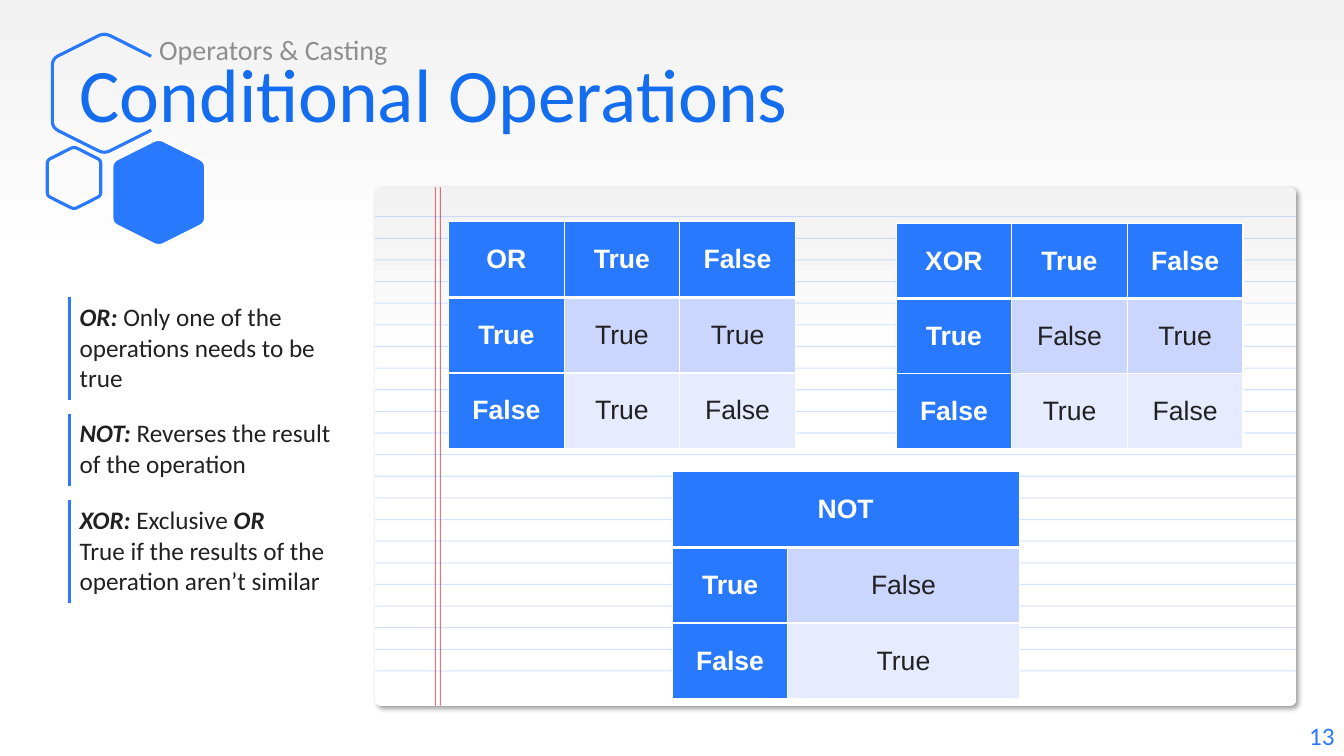
from lxml import etree
from pptx import Presentation
from pptx.dml.color import RGBColor
from pptx.enum import shapes, text
from pptx.oxml import ns
from pptx.util import Pt

BLUE = RGBColor(0x29, 0x79, 0xFF)
TITLE_BLUE = RGBColor(0x13, 0x6D, 0xEE)
RULE_BLUE = RGBColor(0x22, 0x74, 0xFE)
MARGIN_RED = RGBColor(0xCB, 0x19, 0x25)
GREY = RGBColor(0x8F, 0x8F, 0x8F)
INK = RGBColor(0x21, 0x21, 0x21)
WHITE = RGBColor(0xFF, 0xFF, 0xFF)
PALE = RGBColor(0xF2, 0xF2, 0xF2)
BANDS = [RGBColor(0xCB, 0xD6, 0xFF), RGBColor(0xE7, 0xEB, 0xFF)]

LEFT, CENTER, RIGHT = text.PP_ALIGN.LEFT, text.PP_ALIGN.CENTER, text.PP_ALIGN.RIGHT
TOP, MIDDLE = text.MSO_ANCHOR.TOP, text.MSO_ANCHOR.MIDDLE

LABELS = [
    ("13", (833.8, 511.2, 126.7, 28.8), RIGHT, TOP, dict(size=Pt(18), name="Calibri"), BLUE),
    ("Conditional Operations", (49.7, 23, 827.3, 86.4), LEFT, MIDDLE,
     dict(size=Pt(54), name="Calibri"), TITLE_BLUE),
    ("Operators & Casting", (106.6, 19.4, 320.4, 25.9), LEFT, TOP,
     dict(size=Pt(20), name="Calibri"), GREY),
]
DEFINITIONS = [
    [[("OR: ", True), ("Only one of the operations needs to be true", False)]],
    [[("NOT: ", True), ("Reverses the result of the operation", False)]],
    [[("XOR: ", True), ("Exclusive ", False), ("OR", True)],
     [("True if the results of the operation aren’t similar", False)]],
]
DEFINITION_BOX = (49.7, 212.4, 208.1)
DEFINITION_HEIGHTS = [73.2, 51.8, 73.2]
GAP = 10
TRUTH_TABLES = [
    ((320.4, 158.4), [82.6, 82.6, 82.6], 54,
     [["OR", "True", "False"], ["True", "True", "True"], ["False", "True", "False"]]),
    ((480.2, 337), [82.6, 165.2], 54,
     [["NOT", ""], ["True", "False"], ["False", "True"]]),
    ((640.1, 159.8), [82.6, 82.6, 82.6], 53.5,
     [["XOR", "True", "False"], ["True", "False", "True"], ["False", "True", "False"]]),
]
HEXAGONS = [
    ((74.5, 66.6), 37.1, 43.2, None, BLUE, 108),
    ((52.9, 127.1), 19.1, 22.3, None, BLUE, None),
    ((113.4, 137.5), 33.5, 38.9, BLUE, WHITE, None),
]
PAPER = (267.8, 133.9, 658.1, 370.1)
MARGIN_LINES = [311, 314.6]
FIRST_RULE, RULE_STEP, RULE_COUNT = 154.8, 15.45, 22


def assign(obj, values):
    for key, value in values.items():
        setattr(obj, key, value)


def child(parent, tag, **attrs):
    return etree.SubElement(parent, ns.qn(tag), {k: str(v) for k, v in attrs.items()})


def pale_gradient(fill):
    fill.gradient()
    fill.gradient_angle = 270
    for stop, place, color in zip(fill.gradient_stops, (0, 0.37), (PALE, WHITE)):
        stop.color.rgb = color
        stop.position = place


def add_rule(x1, y1, x2, y2, color, opacity):
    line = slide.shapes.add_connector(
        shapes.MSO_CONNECTOR.STRAIGHT, Pt(x1), Pt(y1), Pt(x2), Pt(y2))
    line.line.color.rgb = color
    line.line.width = Pt(0.75)
    pr = line._element.spPr
    child(pr.find(".//" + ns.qn("a:srgbClr")), "a:alpha", val=opacity * 1000)
    child(pr, "a:effectLst")


def rounded(before, corner, after, cut):
    def toward(end):
        dx, dy = end[0] - corner[0], end[1] - corner[1]
        k = cut / (dx * dx + dy * dy) ** 0.5
        return corner[0] + dx * k, corner[1] + dy * k
    a, b = toward(before), toward(after)
    for t in (0, 0.25, 0.5, 0.75, 1):
        yield tuple((1 - t) ** 2 * a[i] + 2 * t * (1 - t) * corner[i] + t * t * b[i]
                    for i in (0, 1))


def add_hexagon(center, half_w, half_h, fill, line, cut_x):
    cx, cy = center
    rise = half_h * 0.57
    corners = [(cx + half_w, cy - rise), (cx, cy - half_h), (cx - half_w, cy - rise),
               (cx - half_w, cy + rise), (cx, cy + half_h), (cx + half_w, cy + rise)]
    if cut_x:
        dy = half_h - (half_h - rise) * (cut_x - cx) / half_w
        corners[0], corners[-1] = (cut_x, cy - dy), (cut_x, cy + dy)
    points = []
    for i, corner in enumerate(corners):
        if cut_x and i in (0, 5):
            points.append(corner)
        else:
            points += rounded(corners[i - 1], corner, corners[(i + 1) % 6], half_h * 0.11)
    points = [(Pt(x), Pt(y)) for x, y in points]
    fb = slide.shapes.build_freeform(*points[0])
    fb.add_line_segments(points[1:], close=not cut_x)
    sp = fb.convert_to_shape()
    sp.shadow.inherit = False
    if fill:
        sp.fill.solid()
        sp.fill.fore_color.rgb = fill
    else:
        sp.fill.background()
    sp.line.color.rgb = line
    sp.line.width = Pt(2.25)


def add_run(p, words, font, color):
    r = p.add_run()
    r.text = words
    assign(r.font, font)
    r.font.color.rgb = color


def set_borders(cell, borders):
    pr = cell._tc.get_or_add_tcPr()
    for i, side in enumerate("LRTB"):
        color, width = borders.get(side, (None, 0))
        ln = etree.Element(ns.qn("a:ln" + side), {"w": str(Pt(width))})
        if color is None:
            child(ln, "a:noFill")
        else:
            child(child(ln, "a:solidFill"), "a:srgbClr", val=color)
        pr.insert(i, ln)


def add_table(x, y, widths, heights):
    table = slide.shapes.add_table(len(heights), len(widths), Pt(x), Pt(y),
                                   Pt(sum(widths)), Pt(sum(heights))).table
    assign(table, dict(first_row=False, horz_banding=False))
    for column, width in zip(table.columns, widths):
        column.width = Pt(width)
    for row, height in zip(table.rows, heights):
        row.height = Pt(height)
    return table


def add_definitions():
    x, y, width = DEFINITION_BOX
    heights = [h for height in DEFINITION_HEIGHTS for h in (height, GAP)][:-1]
    table = add_table(x, y, [width], heights)
    for i in range(len(heights)):
        cell = table.cell(i, 0)
        cell.fill.background()
        if i % 2:
            assign(cell, dict(margin_top=0, margin_bottom=0))
            child(cell.text_frame.paragraphs[0]._p, "a:endParaRPr", sz=100)
            set_borders(cell, {})
            continue
        set_borders(cell, {"L": (BLUE, 3)})
        tf = cell.text_frame
        for j, runs in enumerate(DEFINITIONS[i // 2]):
            p = tf.add_paragraph() if j else tf.paragraphs[0]
            for words, strong in runs:
                add_run(p, words, dict(size=Pt(18), name="Calibri", bold=strong,
                                       italic=strong), INK)


def add_truth_table(place, widths, height, rows):
    table = add_table(*place, widths, [height] * len(rows))
    for i, row in enumerate(rows):
        for j, words in enumerate(row):
            head = i == 0 or j == 0
            cell = table.cell(i, j)
            cell.vertical_anchor = MIDDLE
            cell.fill.solid()
            cell.fill.fore_color.rgb = BLUE if head else BANDS[i - 1]
            set_borders(cell, {"L": (WHITE, 1), "R": (WHITE, 1),
                               "T": (WHITE, 3 if i == 1 else 1),
                               "B": (WHITE, 3 if i == 0 else 1)})
            if words:
                p = cell.text_frame.paragraphs[0]
                p.alignment = CENTER
                add_run(p, words, dict(size=Pt(19), name="Arial", bold=head),
                        WHITE if head else INK)
    if not rows[0][1]:
        table.cell(0, 0).merge(table.cell(0, 1))


prs = Presentation()
assign(prs, dict(slide_width=Pt(960), slide_height=Pt(540)))
slide = prs.slides.add_slide(prs.slide_layouts[6])
pale_gradient(slide.background.fill)

px, py, pw, ph = PAPER
paper = slide.shapes.add_shape(shapes.MSO_SHAPE.ROUNDED_RECTANGLE, *map(Pt, PAPER))
paper.adjustments[0] = 0.011
pale_gradient(paper.fill)
paper.line.fill.background()
shadow = child(child(paper._element.spPr, "a:effectLst"), "a:outerShdw", blurRad=Pt(4),
               dist=Pt(3), dir=45 * 60000, algn="tl", rotWithShape=0)
child(child(shadow, "a:srgbClr", val="000000"), "a:alpha", val=40000)

for hexagon in HEXAGONS:
    add_hexagon(*hexagon)
for x in MARGIN_LINES:
    add_rule(x, py, x, py + ph, MARGIN_RED, 60)
for i in range(RULE_COUNT):
    y = FIRST_RULE + i * RULE_STEP
    add_rule(px, y, px + pw, y, RULE_BLUE, 20)

for words, box, align, anchor, font, color in LABELS:
    tf = slide.shapes.add_textbox(*map(Pt, box)).text_frame
    assign(tf, dict(word_wrap=True, vertical_anchor=anchor))
    tf.paragraphs[0].alignment = align
    add_run(tf.paragraphs[0], words, font, color)

add_definitions()
for truth_table in TRUTH_TABLES:
    add_truth_table(*truth_table)
prs.save("out.pptx")
